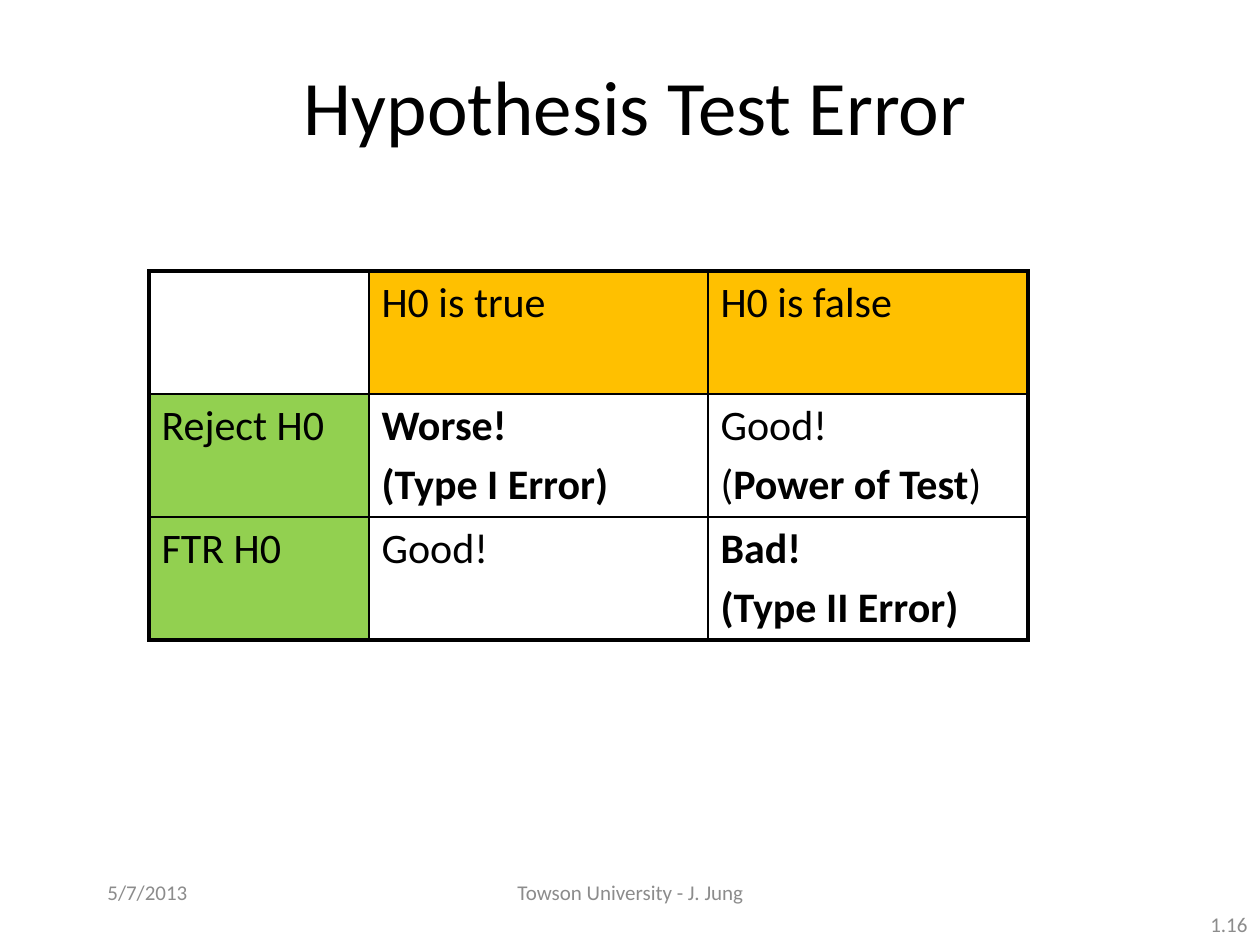
from lxml.etree import SubElement
from pptx import Presentation
from pptx.dml.color import RGBColor
from pptx.enum.text import MSO_ANCHOR, PP_ALIGN
from pptx.oxml.ns import qn
from pptx.util import Emu, Pt

PX = 914400 // 126
FONT = "Calibri"
COLORS = {"ink": "000000", "muted": "8C8C8C", "state": "FFC000", "decision": "92D050"}

# text, (left, top, width, height) in px, alignment, size, color
LABELS = [
    ("Hypothesis Test Error", (32, 63, 1207, 84), PP_ALIGN.CENTER, 44, "ink"),
    ("5/7/2013", (95, 861, 262, 63), PP_ALIGN.LEFT, 12, "muted"),
    ("Towson University - J. Jung", (431, 861, 399, 63), PP_ALIGN.CENTER, 12, "muted"),
    ("1.16", (998, 903, 262, 42), PP_ALIGN.RIGHT, 12, "muted"),
]

# Each cell is a list of paragraphs, each paragraph a list of (text, bold) runs
OUTCOMES = [
    [[], [[("H0 is true", False)]], [[("H0 is false", False)]]],
    [
        [[("Reject H0", False)]],
        [[("Worse!", True)], [("(Type I Error)", True)]],
        [[("Good!", False)], [("(", False), ("Power of Test", True), (")", False)]],
    ],
    [
        [[("FTR H0", False)]],
        [[("Good!", False)]],
        [[("Bad!", True)], [("(Type II Error)", True)]],
    ],
]
TABLE_LEFT, TABLE_TOP = 149, 271
COLUMN_WIDTHS = [220, 339, 320]
ROW_HEIGHT = 123
TABLE_SIZE = 24
INNER_LINE, OUTER_LINE = 1, 2.25


def px(length):
    return Emu(length * PX)


def add_run(paragraph, text, size, color, bold=False):
    run = paragraph.add_run()
    run.text = text
    run.font.color.rgb = RGBColor.from_string(COLORS[color])
    for name, value in {"name": FONT, "size": Pt(size), "bold": bold}.items():
        setattr(run.font, name, value)


def add_label(slide, text, box, align, size, color):
    frame = slide.shapes.add_textbox(*map(px, box)).text_frame
    frame.word_wrap = True
    frame.vertical_anchor = MSO_ANCHOR.MIDDLE
    frame.paragraphs[0].alignment = align
    add_run(frame.paragraphs[0], text, size, color)


def set_borders(cell, row, column, last_row, last_column):
    """Draw thick lines on the table's outer edge and thin ones inside."""
    outer = {
        "a:lnL": column == 0,
        "a:lnR": column == last_column,
        "a:lnT": row == 0,
        "a:lnB": row == last_row,
    }
    properties = cell._tc.get_or_add_tcPr()
    for side, is_outer in outer.items():
        width = Pt(OUTER_LINE if is_outer else INNER_LINE)
        line = SubElement(properties, qn(side), w=str(width))
        fill = SubElement(line, qn("a:solidFill"))
        SubElement(fill, qn("a:srgbClr"), val=COLORS["ink"])


def fill_cell(cell, row, column):
    if (row == 0) == (column == 0):
        cell.fill.background()
        return
    cell.fill.solid()
    heading = "state" if row == 0 else "decision"
    cell.fill.fore_color.rgb = RGBColor.from_string(COLORS[heading])


def write_cell(cell, paragraphs):
    frame = cell.text_frame
    frame.paragraphs[0].font.size = Pt(TABLE_SIZE)
    for index, runs in enumerate(paragraphs):
        paragraph = frame.add_paragraph() if index else frame.paragraphs[0]
        if index:
            paragraph.space_before = Pt(0.2 * TABLE_SIZE)
        for text, bold in runs:
            add_run(paragraph, text, TABLE_SIZE, "ink", bold)


def add_outcome_table(slide):
    row_count, column_count = len(OUTCOMES), len(COLUMN_WIDTHS)
    box = (TABLE_LEFT, TABLE_TOP, sum(COLUMN_WIDTHS), ROW_HEIGHT * row_count)
    table = slide.shapes.add_table(row_count, column_count, *map(px, box)).table
    table.first_row = table.horz_banding = False
    for column, width in zip(table.columns, COLUMN_WIDTHS):
        column.width = px(width)
    for r, outcomes in enumerate(OUTCOMES):
        table.rows[r].height = px(ROW_HEIGHT)
        for c, paragraphs in enumerate(outcomes):
            cell = table.cell(r, c)
            set_borders(cell, r, c, row_count - 1, column_count - 1)
            fill_cell(cell, r, c)
            write_cell(cell, paragraphs)


def main():
    deck = Presentation()
    deck.slide_width, deck.slide_height = px(1260), px(945)
    slide = deck.slides.add_slide(deck.slide_layouts[6])
    title, *footers = LABELS
    add_label(slide, *title)
    add_outcome_table(slide)
    for footer in footers:
        add_label(slide, *footer)
    deck.save("out.pptx")


if __name__ == "__main__":
    main()
